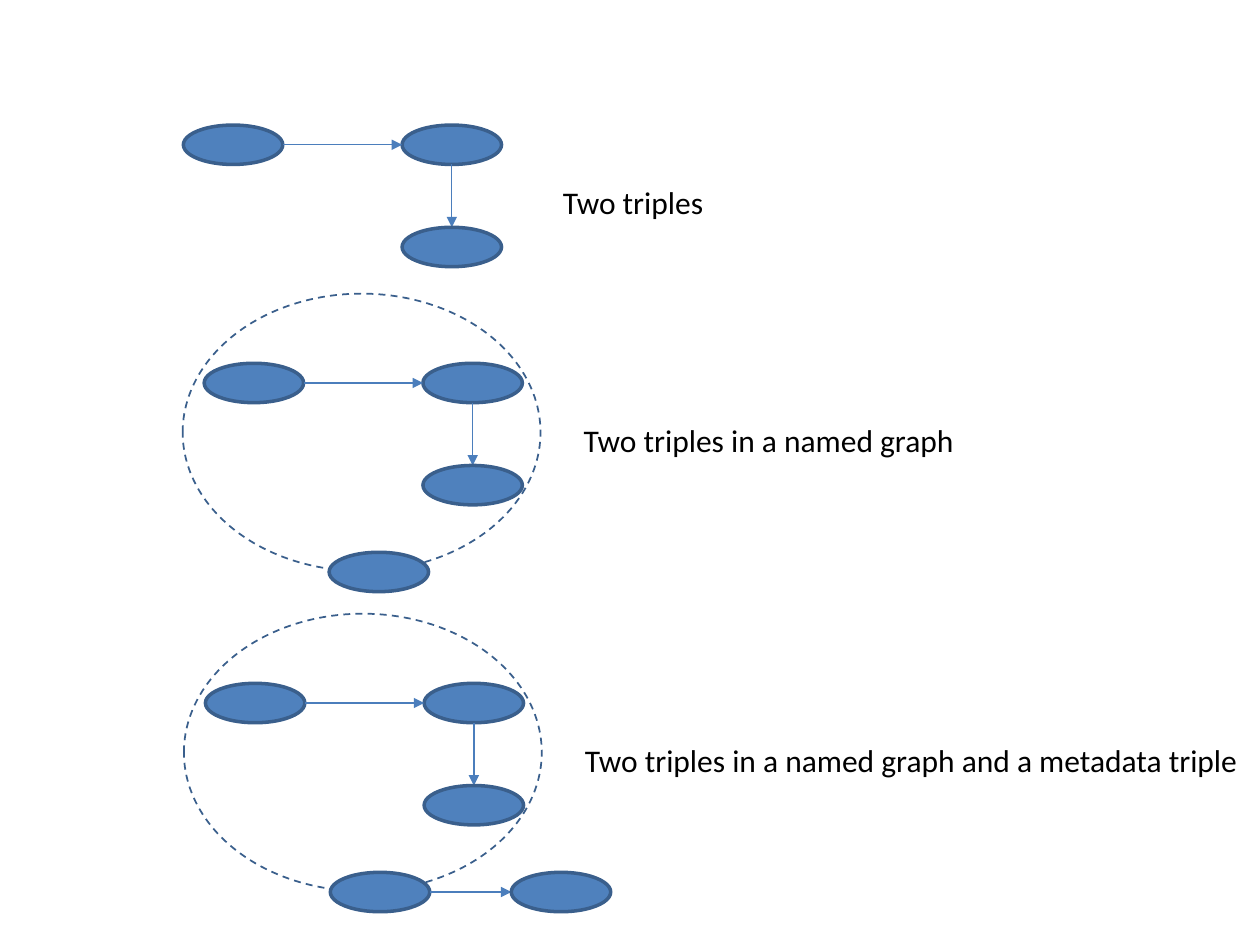
"""Build a slide that compares triples, a named graph and a metadata triple."""
from lxml.etree import SubElement
from pptx import Presentation
from pptx.dml.color import RGBColor
from pptx.enum.dml import MSO_LINE
from pptx.enum.shapes import MSO_CONNECTOR, MSO_SHAPE
from pptx.enum.text import MSO_AUTO_SIZE
from pptx.oxml.ns import qn
from pptx.util import Pt

COLORS = {"node": "4F81BD", "outline": "3A5F8C", "arrow": "4B7EBC", "text": "000000"}
NODE_W, NODE_H = 56.8, 22.5
OBJECT_DX, OBJECT_DY = 125, 58.4
GRAPH_W, GRAPH_H = 204.5, 158.5


def color(name):
    """Return the named colour."""
    return RGBColor.from_string(COLORS[name])


def add_ellipse(slide, left, top, width, height, line_width):
    """Add an outlined ellipse without shadow."""
    ellipse = slide.shapes.add_shape(
        MSO_SHAPE.OVAL, Pt(left), Pt(top), Pt(width), Pt(height))
    ellipse.shadow.inherit = False
    ellipse.line.color.rgb = color("outline")
    ellipse.line.width = Pt(line_width)
    return ellipse


def add_node(slide, left, top):
    """Add a filled resource node."""
    node = add_ellipse(slide, left, top, NODE_W, NODE_H, 2)
    node.fill.solid()
    node.fill.fore_color.rgb = color("node")


def add_graph(slide, left, top):
    """Add the dashed boundary of a named graph."""
    graph = add_ellipse(slide, left, top, GRAPH_W, GRAPH_H, 1)
    graph.fill.background()
    graph.line.dash_style = MSO_LINE.DASH


def add_arrow(slide, x1, y1, x2, y2):
    """Add a predicate arrow pointing at its second end."""
    arrow = slide.shapes.add_connector(
        MSO_CONNECTOR.STRAIGHT, Pt(x1), Pt(y1), Pt(x2), Pt(y2))
    arrow.line.color.rgb = color("arrow")
    arrow.line.width = Pt(0.75)
    SubElement(arrow.line._get_or_add_ln(), qn("a:tailEnd"), type="triangle")
    SubElement(arrow._element.spPr, qn("a:effectLst"))


def add_arrow_right(slide, left, top, target_left):
    """Add an arrow from the node at left to the node at target_left."""
    middle = top + NODE_H / 2
    add_arrow(slide, left + NODE_W, middle, target_left, middle)


def add_caption(slide, left, top, width, text):
    """Add a one-line caption."""
    caption = slide.shapes.add_textbox(Pt(left), Pt(top), Pt(width), Pt(29))
    frame = caption.text_frame
    frame.word_wrap = False
    frame.auto_size = MSO_AUTO_SIZE.SHAPE_TO_FIT_TEXT
    frame.text = text
    font = frame.paragraphs[0].font
    font.name = "Calibri"
    font.size = Pt(18)
    font.color.rgb = color("text")


def add_triples(slide, left, top, caption, caption_width):
    """Add two chained triples and their caption."""
    object_left, object_top = left + OBJECT_DX, top + OBJECT_DY
    center = object_left + NODE_W / 2
    add_node(slide, left, top)
    add_node(slide, object_left, top)
    add_arrow_right(slide, left, top, object_left)
    add_arrow(slide, center, top + NODE_H, center, object_top)
    add_node(slide, object_left, object_top)
    add_caption(slide, left + 209.7, top + 29.5, caption_width, caption)


def add_named_graph(slide, left, top, caption, caption_width, metadata=False):
    """Add triples inside a named graph, with a metadata triple on request."""
    name_left, name_top = left + 71.4, top + 108
    add_graph(slide, left - 12.3, top - 39.8)
    add_triples(slide, left, top, caption, caption_width)
    add_node(slide, name_left, name_top)
    if metadata:
        value_left = name_left + 103.4
        add_arrow_right(slide, name_left, name_top, value_left)
        add_node(slide, value_left, name_top)


def main():
    """Build and save the slide."""
    deck = Presentation()
    deck.slide_width, deck.slide_height = Pt(720), Pt(540)
    slide = deck.slides.add_slide(deck.slide_layouts[6])
    add_triples(slide, 104.8, 71.5, "Two triples", 96)
    add_named_graph(slide, 116.7, 207.6, "Two triples in a named graph", 229)
    add_named_graph(slide, 117.4, 390.5,
                    "Two triples in a named graph and a metadata triple", 392.4,
                    metadata=True)
    deck.save("out.pptx")


if __name__ == "__main__":
    main()
